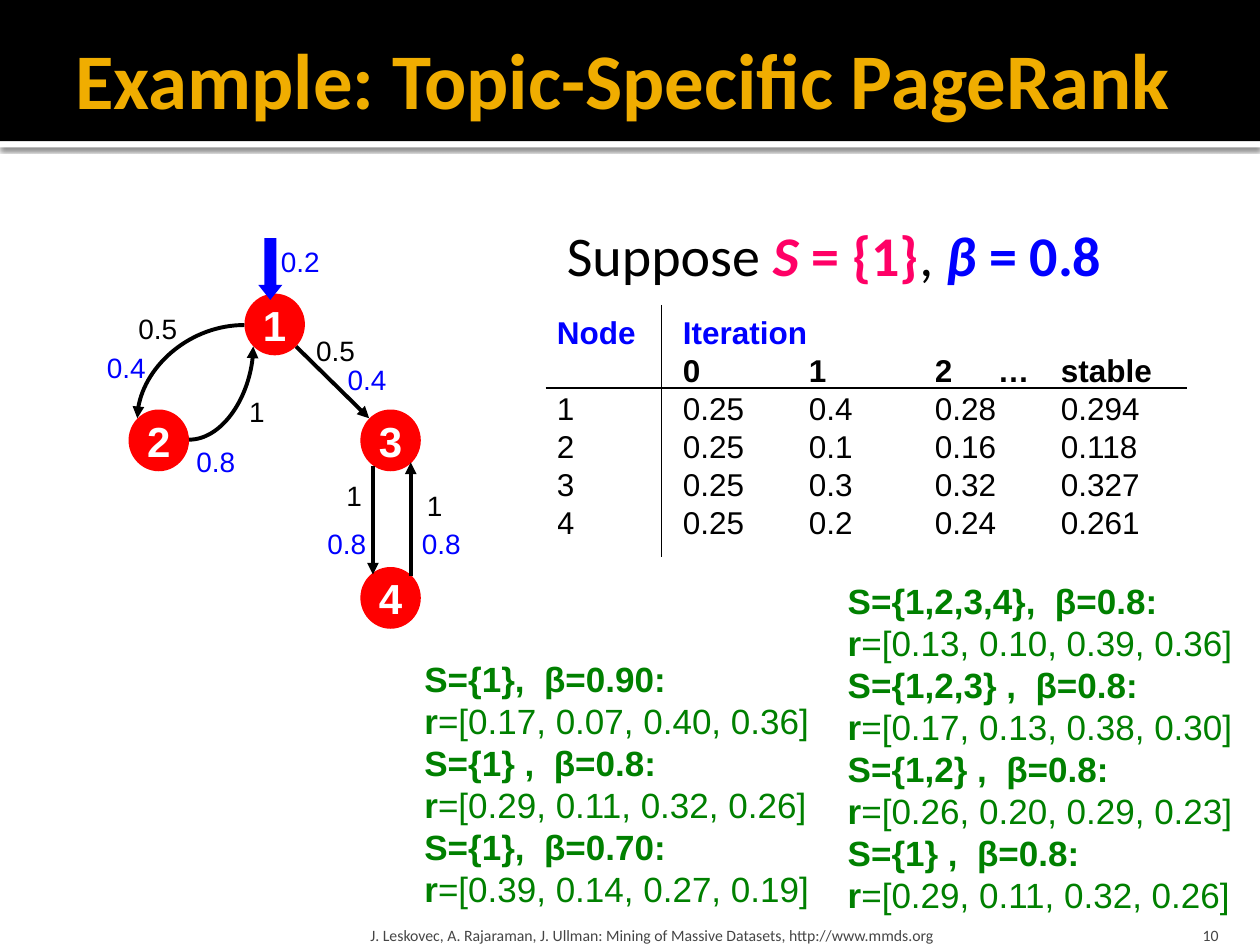
import dataclasses
from typing import NamedTuple

import lxml.etree
import pptx
import pptx.dml.color
import pptx.enum.shapes
import pptx.enum.text
import pptx.oxml.ns
import pptx.util

Inches = pptx.util.Inches
Pt = pptx.util.Pt
Shape = pptx.enum.shapes.MSO_SHAPE
Line = pptx.enum.shapes.MSO_CONNECTOR
Align = pptx.enum.text.PP_ALIGN
Anchor = pptx.enum.text.MSO_ANCHOR


@dataclasses.dataclass(frozen=True)
class Theme:
    heading_font: str = "Calibri"
    body_font: str = "Arial"
    black: str = "000000"
    white: str = "FFFFFF"
    gold: str = "F0AD00"
    red: str = "FF0000"
    pink: str = "FF0066"
    blue: str = "0000FF"
    green: str = "008000"
    gray: str = "454545"
    title: float = 45
    premise: float = 32
    node: float = 24
    result: float = 20
    table: float = 18
    label: float = 16
    footer: float = 9
    edge_width: float = 2.25
    rule_width: float = 0.75


THEME = Theme()


class Run(NamedTuple):
    text: str
    size: float
    color: str
    bold: bool = False
    italic: bool = False
    font: str = THEME.body_font


class Box(NamedTuple):
    left: float
    top: float
    width: float
    height: float

    def lengths(self) -> list:
        return [Inches(side) for side in self]


class Node(NamedTuple):
    name: str
    left: float
    top: float


class Edge(NamedTuple):
    start: tuple[float, float]
    end: tuple[float, float]
    curved: bool = False


class Label(NamedTuple):
    text: str
    left: float
    top: float


class Result(NamedTuple):
    teleport_set: str
    ranks: str


NODES = [Node("1", 1.94, 2.33), Node("2", 1.02, 3.25), Node("3", 2.86, 3.25), Node("4", 2.86, 4.5)]
EDGES = [
    Edge((1.94, 2.58), (1.09, 3.32), curved=True),
    Edge((1.5, 3.49), (2.01, 2.75), curved=True),
    Edge((2.35, 2.75), (2.93, 3.32)),
    Edge((2.96, 3.7), (2.96, 4.56)),
    Edge((3.26, 4.57), (3.26, 3.67)),
]
LINK_WEIGHTS = [
    Label("0.5", 2.41, 2.6), Label("0.5", 1, 2.42), Label("1", 1.88, 3.08),
    Label("1", 2.65, 3.75), Label("1", 3.29, 3.83),
]
DAMPED_WEIGHTS = [
    Label("0.2", 2.13, 1.89), Label("0.4", 0.75, 2.73), Label("0.4", 2.66, 2.83),
    Label("0.8", 1.46, 3.48), Label("0.8", 2.5, 4.13), Label("0.8", 3.25, 4.13),
]
COLUMN_WIDTHS = [1, 1, 1, 0.5, 0.5, 1]
ROW_HEIGHT = 0.3
ITERATIONS = [
    ["Node", "Iteration", "", "", "", ""],
    ["", "0", "1", "2", "…", "stable"],
    ["1", "0.25", "0.4", "0.28", "", "0.294"],
    ["2", "0.25", "0.1", "0.16", "", "0.118"],
    ["3", "0.25", "0.3", "0.32", "", "0.327"],
    ["4", "0.25", "0.2", "0.24", "", "0.261"],
]
BY_SET = [
    Result("S={1,2,3,4},  β=0.8:", "[0.13, 0.10, 0.39, 0.36]"),
    Result("S={1,2,3} ,  β=0.8:", "[0.17, 0.13, 0.38, 0.30]"),
    Result("S={1,2} ,  β=0.8:", "[0.26, 0.20, 0.29, 0.23]"),
    Result("S={1} ,  β=0.8:", "[0.29, 0.11, 0.32, 0.26]"),
]
BY_BETA = [
    Result("S={1},  β=0.90:", "[0.17, 0.07, 0.40, 0.36]"),
    Result("S={1} ,  β=0.8:", "[0.29, 0.11, 0.32, 0.26]"),
    Result("S={1},  β=0.70:", "[0.39, 0.14, 0.27, 0.19]"),
]


def rgb(color: str) -> pptx.dml.color.RGBColor:
    return pptx.dml.color.RGBColor.from_string(color)


def write(frame, paragraphs: list[list[Run]], align=Align.LEFT) -> None:
    for index, runs in enumerate(paragraphs):
        paragraph = frame.add_paragraph() if index else frame.paragraphs[0]
        paragraph.alignment = align
        for spec_run in runs:
            run = paragraph.add_run()
            run.text = spec_run.text
            run.font.name = spec_run.font
            run.font.size = Pt(spec_run.size)
            run.font.bold = spec_run.bold
            run.font.italic = spec_run.italic
            run.font.color.rgb = rgb(spec_run.color)


def add_text(slide, box: Box, paragraphs: list[list[Run]], wrap: bool = False, align=Align.LEFT,
             anchor=Anchor.TOP, insets: tuple = (0.1, 0.05, 0.1, 0.05)) -> None:
    frame = slide.shapes.add_textbox(*box.lengths()).text_frame
    frame.word_wrap = wrap
    frame.vertical_anchor = anchor
    frame.margin_left, frame.margin_top, frame.margin_right, frame.margin_bottom = map(Inches, insets)
    write(frame, paragraphs, align)


def add_solid(slide, kind, box: Box, color: str):
    solid = slide.shapes.add_shape(kind, *box.lengths())
    solid.shadow.inherit = False
    solid.fill.solid()
    solid.fill.fore_color.rgb = rgb(color)
    solid.line.fill.background()
    return solid


def add_child(parent, tag: str, **attributes: str):
    return lxml.etree.SubElement(parent, pptx.oxml.ns.qn(tag), attributes)


def add_line(slide, edge: Edge, width: float, arrow: bool = False) -> None:
    kind = Line.CURVE if edge.curved else Line.STRAIGHT
    connector = slide.shapes.add_connector(kind, *map(Inches, edge.start + edge.end))
    connector.line.color.rgb = rgb(THEME.black)
    connector.line.width = Pt(width)
    properties = connector._element.spPr
    if edge.curved:
        properties.find(pptx.oxml.ns.qn("a:prstGeom")).set("prst", "curvedConnector2")
    if arrow:
        add_child(properties.find(pptx.oxml.ns.qn("a:ln")), "a:tailEnd", type="triangle")
    add_child(properties, "a:effectLst")


def add_header(slide) -> None:
    stripe = add_solid(slide, Shape.RECTANGLE, Box(0, 1.12, 10, 0.05), THEME.white)
    effects = stripe._element.spPr.find(pptx.oxml.ns.qn("a:effectLst"))
    shadow = add_child(effects, "a:outerShdw", blurRad=str(Pt(2.5)), dist=str(Pt(0.8)),
                       dir="5400000", rotWithShape="0")
    add_child(add_child(shadow, "a:srgbClr", val=THEME.black), "a:alpha", val="60000")
    add_solid(slide, Shape.RECTANGLE, Box(0, 0, 10, 1.12), THEME.black)
    title = Run("Example: Topic-Specific PageRank", THEME.title, THEME.gold, True, font=THEME.heading_font)
    add_text(slide, Box(0.5, 0.08, 9.5, 1.08), [[title]], True, anchor=Anchor.MIDDLE,
             insets=(0.1, 0.05, 0.05, 0.05))


def add_graph(slide) -> None:
    for node in NODES:
        disc = add_solid(slide, Shape.OVAL, Box(node.left, node.top, 0.48, 0.49), THEME.red)
        disc.text_frame.word_wrap = False
        disc.text_frame.vertical_anchor = Anchor.MIDDLE
        write(disc.text_frame, [[Run(node.name, THEME.node, THEME.white, True)]], Align.CENTER)
    for edge in EDGES:
        add_line(slide, edge, THEME.edge_width, arrow=True)
    teleport = add_solid(slide, Shape.DOWN_ARROW, Box(2.05, 1.89, 0.19, 0.49), THEME.blue)
    teleport.adjustments[1] = 0.625
    for labels, color in ((LINK_WEIGHTS, THEME.black), (DAMPED_WEIGHTS, THEME.blue)):
        for label in labels:
            width = 0.51 if len(label.text) > 1 else 0.33
            add_text(slide, Box(label.left, label.top, width, 0.37), [[Run(label.text, THEME.label, color)]])


def add_premise(slide) -> None:
    parts = [("Suppose ", THEME.black, False, False), ("S", THEME.pink, True, True),
             (" = {1}", THEME.pink, True, False), (", ", THEME.black, False, False),
             ("β ", THEME.blue, True, True), ("= 0.8", THEME.blue, True, False)]
    runs = [Run(text, THEME.premise, *style, THEME.heading_font) for text, *style in parts]
    add_text(slide, Box(4.4, 1.7, 4.46, 0.64), [runs])


def add_iterations(slide) -> None:
    box = Box(4.42, 2.51, sum(COLUMN_WIDTHS), ROW_HEIGHT * len(ITERATIONS))
    table = slide.shapes.add_table(len(ITERATIONS), len(COLUMN_WIDTHS), *box.lengths()).table
    table.first_row = table.horz_banding = False
    for column, width in zip(table.columns, COLUMN_WIDTHS):
        column.width = Inches(width)
    for row, values in enumerate(ITERATIONS):
        for column, value in enumerate(values):
            cell = table.cell(row, column)
            cell.fill.background()
            cell.margin_left = cell.margin_right = cell.margin_top = cell.margin_bottom = 0
            color = THEME.black if row else THEME.blue
            write(cell.text_frame, [[Run(value, THEME.table, color, row < 2)]])
    table.cell(0, 1).merge(table.cell(0, len(COLUMN_WIDTHS) - 1))
    for rule in (Edge((4.33, 3.08), (9.42, 3.08)), Edge((5.25, 2.42), (5.25, 4.42))):
        add_line(slide, rule, THEME.rule_width)


def add_results(slide, box: Box, results: list[Result]) -> None:
    paragraphs = []
    for result in results:
        paragraphs.append([Run(result.teleport_set, THEME.result, THEME.green, True)])
        paragraphs.append([Run("r", THEME.result, THEME.green, True),
                           Run("=" + result.ranks, THEME.result, THEME.green)])
    add_text(slide, box, paragraphs)


def add_footer(slide) -> None:
    number = Run("10", THEME.footer, THEME.gray, font=THEME.heading_font)
    citation = number._replace(
        text="J. Leskovec, A. Rajaraman, J. Ullman: Mining of Massive Datasets, http://www.mmds.org")
    add_text(slide, Box(8.97, 7.2, 0.8, 0.3), [[number]], True, Align.RIGHT, Anchor.BOTTOM, (0.1, 0.05, 0.1, 0))
    add_text(slide, Box(2.89, 7.2, 6.02, 0.3), [[citation]], True, anchor=Anchor.BOTTOM,
             insets=(0.05, 0.05, 0.05, 0))


def main() -> None:
    deck = pptx.Presentation()
    deck.slide_width, deck.slide_height = Inches(10), Inches(7.5)
    slide = deck.slides.add_slide(deck.slide_layouts[6])
    add_header(slide)
    add_graph(slide)
    add_premise(slide)
    add_iterations(slide)
    add_footer(slide)
    add_results(slide, Box(6.63, 4.55, 3.27, 2.79), BY_SET)
    add_results(slide, Box(3.27, 5.17, 3.27, 2.12), BY_BETA)
    deck.save("out.pptx")


if __name__ == "__main__":
    main()
